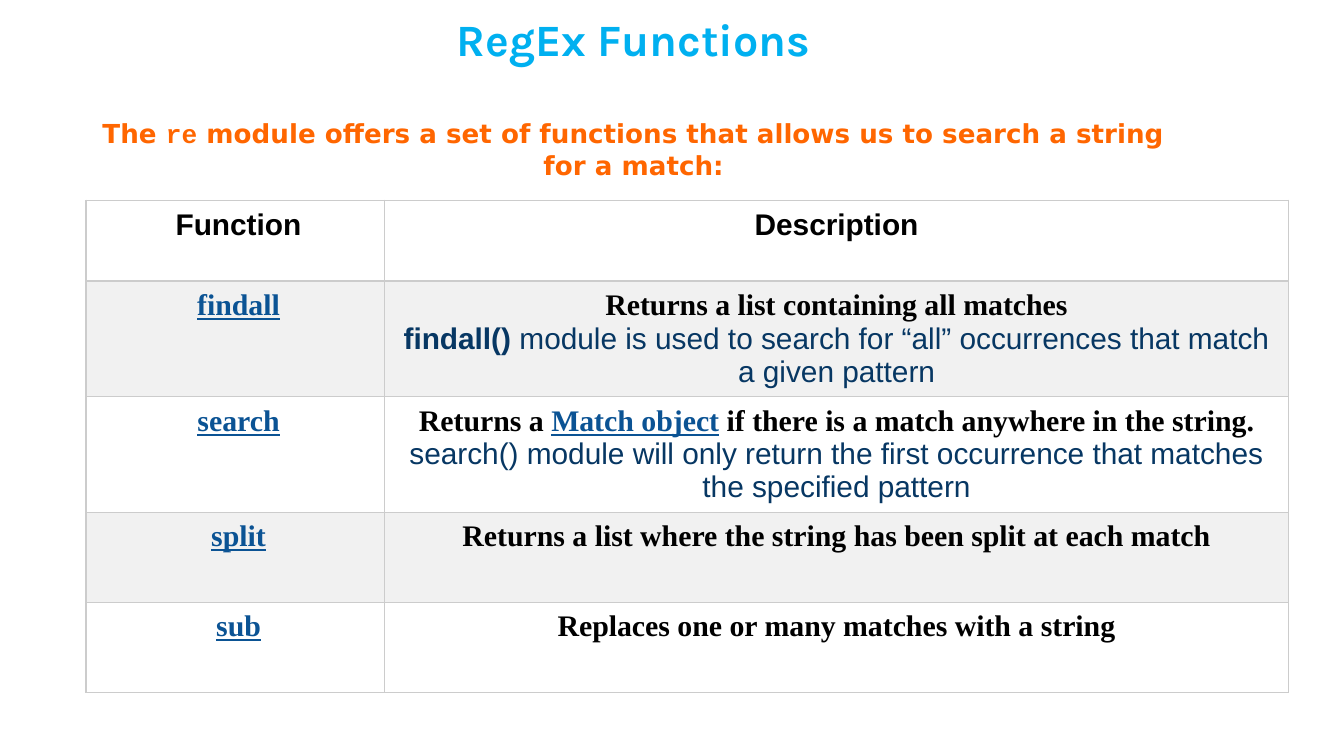
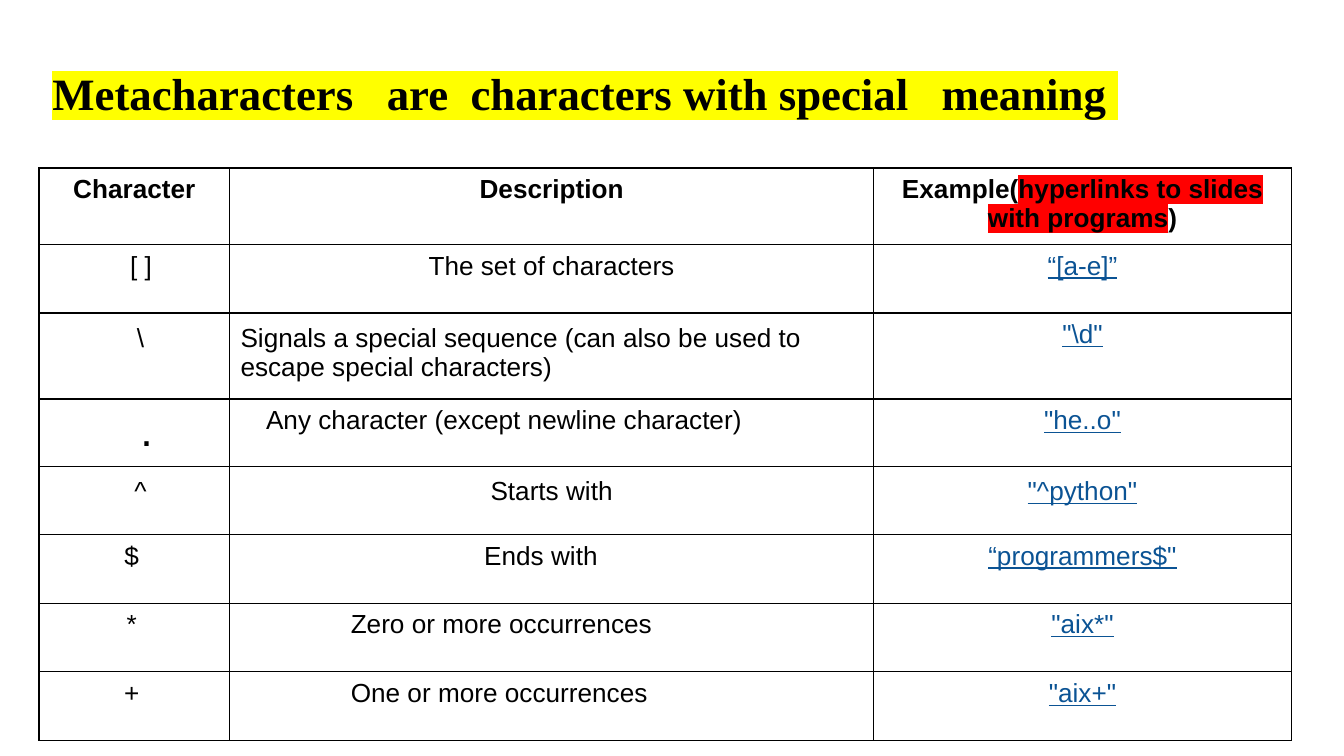
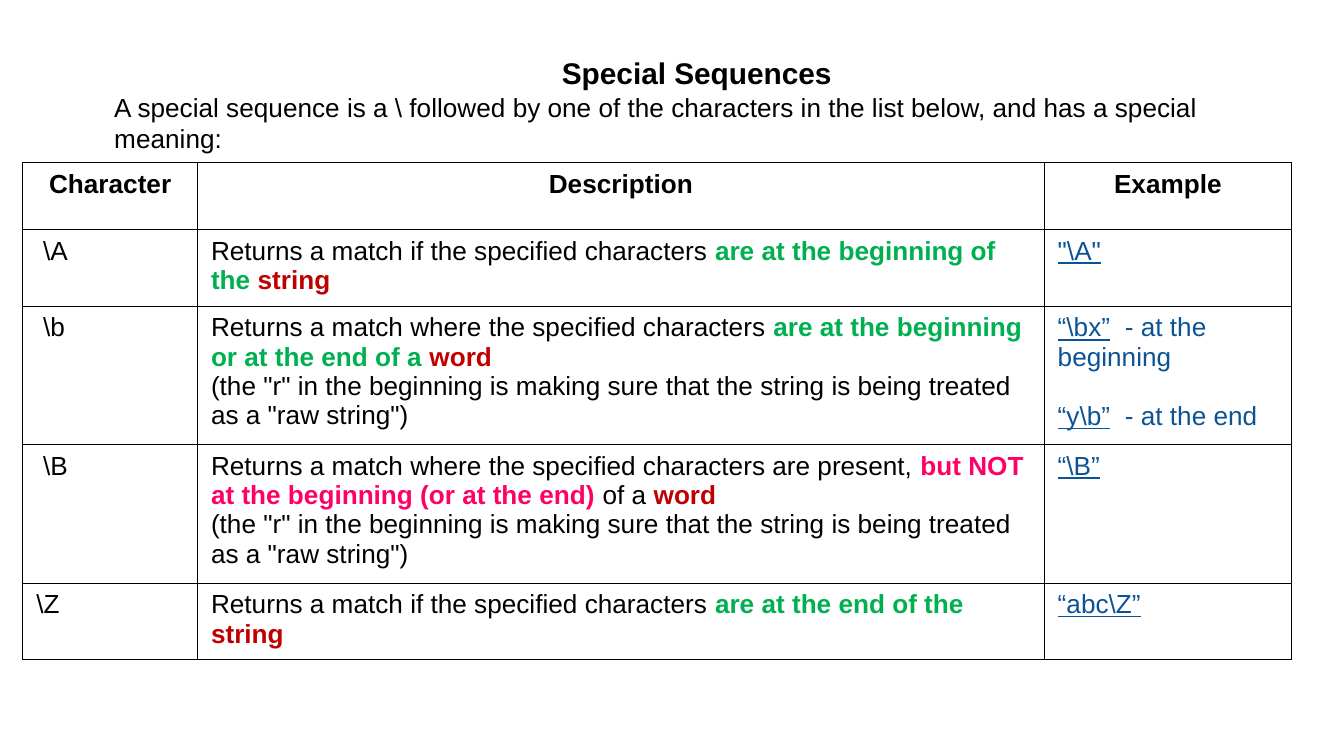
from dataclasses import dataclass, field

from lxml.etree import SubElement
from pptx import Presentation
from pptx.dml.color import RGBColor
from pptx.enum.text import MSO_ANCHOR, MSO_AUTO_SIZE, PP_ALIGN
from pptx.oxml import parse_xml
from pptx.oxml.ns import nsdecls, qn
from pptx.util import Inches, Pt

BLACK = RGBColor(0, 0, 0)
WHITE = RGBColor(0xFF, 0xFF, 0xFF)
BAND_GRAY = RGBColor(0xF1, 0xF1, 0xF1)
RULE_GRAY = RGBColor(0xCC, 0xCC, 0xCC)
SKY = RGBColor(0x00, 0xB0, 0xF0)
ORANGE = RGBColor(0xFF, 0x66, 0x00)
LINK_BLUE = RGBColor(0x0B, 0x53, 0x94)
NAVY = RGBColor(0x07, 0x37, 0x63)
GREEN = RGBColor(0x00, 0xB0, 0x50)
RED = RGBColor(0xC0, 0x00, 0x00)
PINK = RGBColor(0xFF, 0x00, 0x66)
YELLOW = RGBColor(0xFF, 0xFF, 0x00)
BRIGHT_RED = RGBColor(0xFF, 0x00, 0x00)

BODY = dict(name="Arial", size=Pt(14), bold=False, color=BLACK)
HEADER = BODY | dict(bold=True)
LARGE_HEADER = HEADER | dict(size=Pt(16))
LINK = BODY | dict(color=LINK_BLUE, underline=True)
LINK_NOTE = BODY | dict(color=LINK_BLUE)
SERIF = LARGE_HEADER | dict(name="Times New Roman")
SERIF_LINK = SERIF | dict(color=LINK_BLUE, underline=True)
DETAIL = BODY | dict(size=Pt(16), color=NAVY)
INTRO = dict(name="DejaVu Sans", size=Pt(14), bold=True, color=ORANGE)
BANNER = SERIF | dict(size=Pt(24), highlight=YELLOW)
PLACE = HEADER | dict(color=GREEN)
TARGET = HEADER | dict(color=RED)
EXCEPTION = HEADER | dict(color=PINK)

CENTER, LEFT = PP_ALIGN.CENTER, PP_ALIGN.LEFT
USUAL_INSETS = dict(left=0.1, right=0.1, top=0.05, bottom=0.05)


@dataclass
class Para:
    """A paragraph of (text, format) spans."""
    spans: list
    align: PP_ALIGN = CENTER
    before: float = 0


@dataclass
class Cell:
    """Table cell paragraphs and the insets that differ from the table's."""
    paras: list
    insets: dict = field(default_factory=dict)


def line(text, style=BODY, align=CENTER, **insets):
    """Return a cell holding one line in one style."""
    return Cell([Para([(text, style)], align)], insets)


def even_insets(value):
    """Return the same inset for all four sides."""
    return dict.fromkeys(USUAL_INSETS, value)


def format_span(span, style):
    """Apply a format dict to a text run."""
    props = span._r.get_or_add_rPr()
    for name, value in style.items():
        if name == "color":
            span.font.color.rgb = value
        elif name == "spacing":
            props.set("spc", str(value * 100))
        elif name != "highlight":
            setattr(span.font, name, value)
    if "highlight" in style:
        mark = parse_xml(f'<a:highlight {nsdecls("a")}><a:srgbClr val="{style["highlight"]}"/></a:highlight>')
        props.find(qn("a:solidFill")).addnext(mark)


def write(frame, paras):
    """Fill a text frame with paragraphs."""
    frame.word_wrap = True
    for index, content in enumerate(paras):
        para = frame.add_paragraph() if index else frame.paragraphs[0]
        para.alignment = content.align
        if index:
            para.space_before = Pt(content.before)
        for text, style in content.spans:
            span = para.add_run()
            span.text = text
            format_span(span, style)


def set_insets(target, insets):
    """Set margins in inches on a cell or text frame."""
    for side, value in insets.items():
        setattr(target, f"margin_{side}", Inches(value))


def add_heading(deck, box, paras, anchor=MSO_ANCHOR.TOP, fill=None, insets=USUAL_INSETS):
    """Add a title-only page and set its heading in the given box."""
    page = deck.slides.add_slide(deck.slide_layouts[5])
    title = page.shapes.title
    for name, value in zip(("left", "top", "width", "height"), box):
        setattr(title, name, Inches(value))
    if fill is not None:
        title.fill.solid()
        title.fill.fore_color.rgb = fill
    frame = title.text_frame
    frame.auto_size = MSO_AUTO_SIZE.NONE
    frame.vertical_anchor = anchor
    set_insets(frame, insets)
    write(frame, paras)
    return page


def draw_borders(cell, color):
    """Rule all four sides of a table cell."""
    props = cell._tc.get_or_add_tcPr()
    for side in ("lnL", "lnR", "lnT", "lnB"):
        edge = SubElement(props, qn(f"a:{side}"), w=str(Pt(0.75)))
        paint = SubElement(edge, qn("a:solidFill"))
        SubElement(paint, qn("a:srgbClr"), val=str(color))


def add_grid(page, corner, widths, heights, rows, border, insets=USUAL_INSETS, fills=None):
    """Add a ruled table whose size follows from its columns and rows."""
    size = sum(widths), sum(heights)
    table = page.shapes.add_table(len(rows), len(widths), *map(Inches, (*corner, *size))).table
    table.first_row = table.horz_banding = False
    for column, width in zip(table.columns, widths):
        column.width = Inches(width)
    for row, height in zip(table.rows, heights):
        row.height = Inches(height)
    for row_index, row in enumerate(rows):
        for column_index, content in enumerate(row):
            cell = table.cell(row_index, column_index)
            draw_borders(cell, border)
            if fills:
                cell.fill.solid()
                cell.fill.fore_color.rgb = fills[row_index % len(fills)]
            else:
                cell.fill.background()
            set_insets(cell, insets | content.insets)
            write(cell.text_frame, content.paras)


def add_functions_page(deck):
    """Build the page on the functions of the re module."""
    title_style = dict(name="Karla", size=Pt(24), bold=True, color=SKY)
    intro = [("The ", INTRO), ("re", INTRO | dict(name="Courier New")),
             (" module offers a set of functions that allows us to search a string for a match:", INTRO)]
    page = add_heading(deck, (0.64, 0, 8.15, 1.43),
                       [Para([("RegEx Functions", title_style)]), Para(intro, before=28)],
                       MSO_ANCHOR.MIDDLE, WHITE, dict(left=0, right=0, top=0.07, bottom=0.07))
    findall = [Para([("Returns a list containing all matches", SERIF)]),
               Para([("findall()", DETAIL | dict(bold=True)),
                     (" module is used to search for “all” occurrences that match a given pattern", DETAIL)])]
    search = [Para([("Returns a ", SERIF), ("Match object", SERIF_LINK),
                    (" if there is a match anywhere in the string.", SERIF)]),
              Para([("search() module will only return the first occurrence that matches "
                     "the specified pattern", DETAIL)])]
    descriptions = {
        "findall": Cell(findall),
        "search": Cell(search),
        "split": line("Returns a list where the string has been split at each match", SERIF),
        "sub": line("Replaces one or many matches with a string", SERIF),
    }
    rows = [[line("Function", LARGE_HEADER, left=0.11), line("Description", LARGE_HEADER)]]
    rows += [[line(name, SERIF_LINK, left=0.11), text] for name, text in descriptions.items()]
    add_grid(page, (0.64, 1.49), (2.22, 6.73), (0.6, 0.85, 0.85, 0.67, 0.67), rows, RULE_GRAY,
             even_insets(0.06), (WHITE, BAND_GRAY))


def add_metacharacters_page(deck):
    """Build the page on metacharacters."""
    banner = Para([("Metacharacters   are  characters with special   meaning ", BANNER)], LEFT)
    page = add_heading(deck, (0.29, 0.44, 9.08, 3.74), [banner])
    example = [("Example(", HEADER),
               ("hyperlinks to slides with programs", HEADER | dict(highlight=BRIGHT_RED)), (")", HEADER)]
    even = even_insets(0.08)
    shifted = even | dict(left=0.17)
    rows = [
        [line("Character", HEADER), line("Description", HEADER), Cell([Para(example)])],
        [line("[ ]", left=0.2), line("The set of characters"), line("“[a-e]”", LINK)],
        [line("\\", **shifted),
         line("Signals a special sequence (can also be used to escape special characters)", align=LEFT, **even),
         line('"\\d"', LINK)],
        [line(".", BODY | dict(size=Pt(24)), left=0.28),
         line("Any character (except newline character)", align=LEFT, left=0.27), line('"he..o"', LINK)],
        [line("^", **shifted), line("Starts with", **even), line('"^python"', LINK, **even)],
        [line("$", right=0.14), line("Ends with", right=0.26), line('“programmers$"', LINK)],
    ]
    rows += [[line(sign, right=0.14), line(f"{count} or more occurrences", align=LEFT, left=0.9),
              line(f'"aix{sign}"', LINK)] for sign, count in (("*", "Zero"), ("+", "One"))]
    add_grid(page, (0.29, 1.25), (1.42, 4.79, 3.11), (0.57, 0.51, 0.64, 0.5, *[0.51] * 4), rows, BLACK)


def add_sequences_page(deck):
    """Build the page on special sequences."""
    intro = "A special sequence is a \\ followed by one of the characters in the list below, and has a special meaning:"
    page = add_heading(deck, (0.75, 0.36, 8.87, 4.14),
                       [Para([("Special Sequences", LARGE_HEADER)]), Para([(intro, BODY)], LEFT)])
    raw_note = Para([('(the "r" in the beginning is making sure that the string is being treated '
                      'as a "raw string")', BODY)], LEFT)
    match_if = ("Returns a match if the specified characters ", BODY)
    begins = Para([match_if, ("are at the beginning of the ", PLACE), ("string", TARGET)], LEFT)
    edges = Para([("Returns a match where the specified characters ", BODY),
                  ("are at the beginning or at the end of a ", PLACE), ("word", TARGET)], LEFT)
    inside = Para([("Returns a match where the specified characters are present, ", BODY),
                   ("but NOT at the beginning (or at the end)", EXCEPTION),
                   (" of a ", BODY), ("word", TARGET)], LEFT)
    ends = Para([match_if, ("are at the end of the ", PLACE), ("string", TARGET)], LEFT)
    wide_space = (" ", LINK_NOTE | dict(spacing=4))
    edge_examples = [Para([(code, LINK), wide_space, (f"- at the {place}", LINK_NOTE)], LEFT, before)
                     for code, place, before in (("“\\bx”", "beginning", 0), ("“y\\b”", "end", 16))]
    rows = [
        [line(text, HEADER) for text in ("Character", "Description", "Example")],
        [line("\\A", align=LEFT, left=0.15), Cell([begins]), line('"\\A"', LINK, LEFT)],
        [line("\\b", align=LEFT, left=0.15), Cell([edges, raw_note]), Cell(edge_examples)],
        [line("\\B", align=LEFT, left=0.15), Cell([inside, raw_note]), line("“\\B”", LINK, LEFT)],
        [line("\\Z", align=LEFT), Cell([ends]), line("“abc\\Z”", LINK, LEFT)],
    ]
    add_grid(page, (0.17, 1.21), (1.3, 6.3, 1.84), (0.5, 0.57, 1.03, 1.03, 0.57), rows, BLACK)


def main():
    """Build and save the deck."""
    deck = Presentation()
    deck.slide_width = Inches(10)
    deck.slide_height = deck.slide_width * 9 // 16
    for add_page in (add_functions_page, add_metacharacters_page, add_sequences_page):
        add_page(deck)
    deck.save("out.pptx")


if __name__ == "__main__":
    main()
